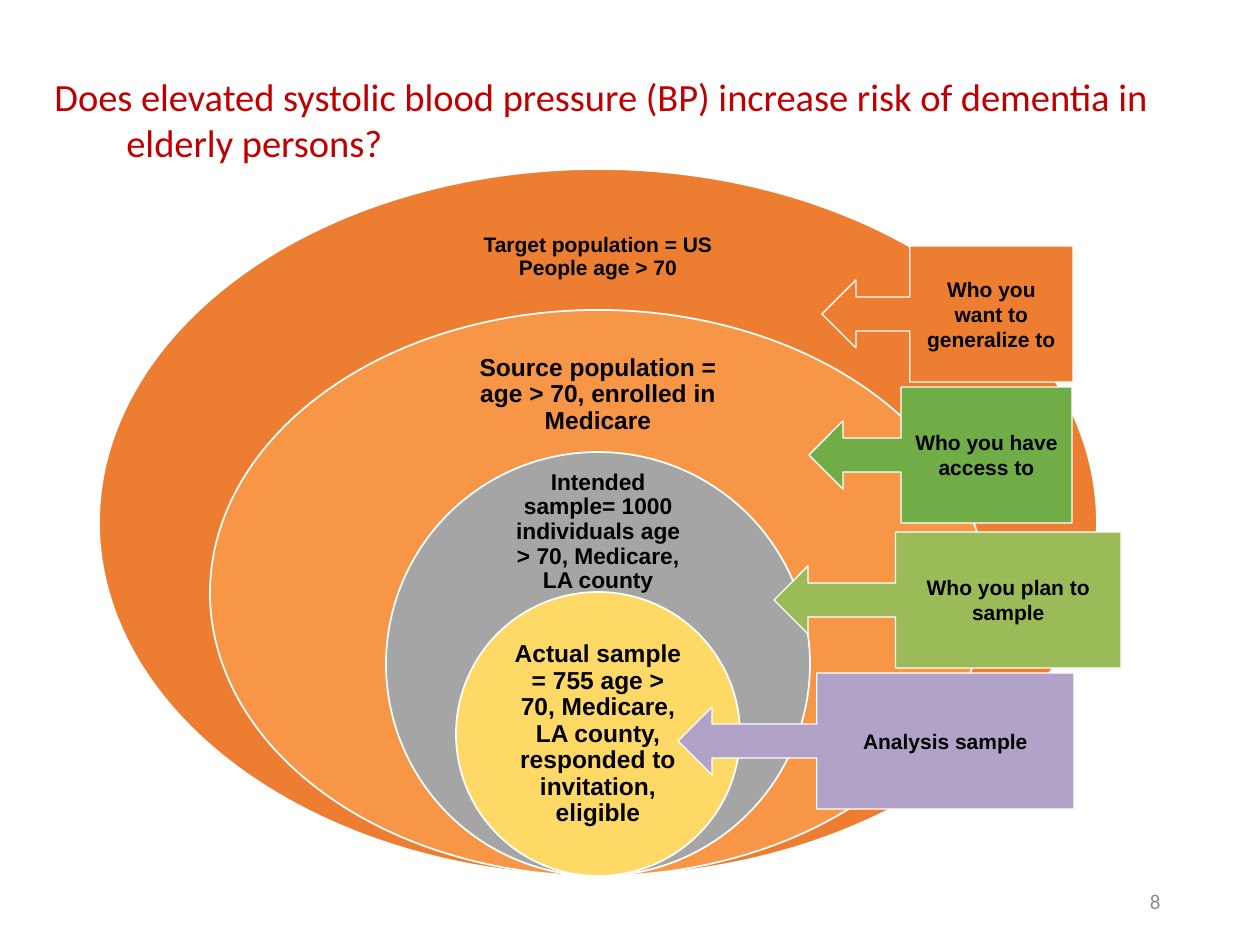
from pptx import Presentation
from pptx.dml.color import RGBColor
from pptx.enum.shapes import MSO_SHAPE as Shape
from pptx.enum.text import MSO_ANCHOR as Anchor, PP_ALIGN as Align
from pptx.util import Pt

EMU_PER_PX = 914400 / 126
THEME = {
    "text": "000000", "title": "C00000", "number": "8C8C8C", "outline": "FFFFFF",
    "target": "ED7D31", "source": "F79646", "intended": "A5A5A5", "actual": "FFD966",
    "access": "70AD47", "plan": "9BBB59", "analysis": "B3A2C7",
    "body_font": "Arial", "heading_font": "Calibri",
    "title_size": 22, "callout_size": 12, "number_size": 12,
    "ring_line": 1, "callout_line": 0.75,
}


def px(value):
    return round(value * EMU_PER_PX)


def write(shape, text, size, color="text", font="body_font", bold=True, align=Align.CENTER):
    frame = shape.text_frame
    frame.word_wrap = True
    frame.vertical_anchor = Anchor.MIDDLE
    paragraph = frame.paragraphs[0]
    paragraph.text = text
    paragraph.alignment = align
    paragraph.font.size = Pt(size)
    paragraph.font.name = THEME[font]
    paragraph.font.bold = bold
    paragraph.font.color.rgb = RGBColor.from_string(THEME[color])
    return paragraph


presentation = Presentation()
presentation.slide_width, presentation.slide_height = px(1260), px(945)
slide = presentation.slides.add_slide(presentation.slide_layouts[6])
shapes = slide.shapes

RING_CENTER, RING_BOTTOM = 598, 876
rings = [
    ("target", 998, 707, "Target population = US People age > 70", 12, 204, 278, 106, 11),
    ("source", 776, 566, "Source population = age > 70, enrolled in Medicare", 14, 344, 272, 102, 14),
    ("intended", 424, 424, "Intended sample= 1000 individuals age > 70, Medicare, LA county", 13, 484, 198, 96, 13),
    ("actual", 284, 284, "Actual sample = 755 age > 70, Medicare, LA county, responded to invitation, eligible",
     14, 664, 200, 141, 14),
]
for fill, width, height, text, size, label_top, label_width, label_height, inset in rings:
    ring = shapes.add_shape(Shape.OVAL, px(RING_CENTER - width // 2), px(RING_BOTTOM - height),
                            px(width), px(height))
    ring.shadow.inherit = False
    ring.fill.solid()
    ring.fill.fore_color.rgb = RGBColor.from_string(THEME[fill])
    ring.line.color.rgb = RGBColor.from_string(THEME["outline"])
    ring.line.width = Pt(THEME["ring_line"])

    label = shapes.add_textbox(px(RING_CENTER - label_width // 2), px(label_top),
                               px(label_width), px(label_height))
    frame = label.text_frame
    frame.margin_left = frame.margin_right = frame.margin_top = frame.margin_bottom = px(inset)
    write(label, text, size).line_spacing = 0.9

title = shapes.add_textbox(px(42), px(28), px(1166), px(183))
title_paragraph = write(title, "Does elevated systolic blood pressure (BP) increase risk of dementia in elderly persons?",
                        THEME["title_size"], "title", "heading_font", False, Align.LEFT)
properties = title_paragraph._p.get_or_add_pPr()
properties.set("marL", str(px(72)))
properties.set("indent", str(-px(72)))

CALLOUT_HEIGHT = 136
callouts = [
    ("target", 822, 246, 251, "Who you want to generalize to"),
    ("access", 809, 387, 263, "Who you have access to"),
    ("plan", 774, 532, 347, "Who you plan to sample"),
    ("analysis", 678, 673, 396, "Analysis sample"),
]
for fill, left, top, width, text in callouts:
    callout = shapes.add_shape(Shape.LEFT_ARROW_CALLOUT, px(left), px(top), px(width), px(CALLOUT_HEIGHT))
    callout.shadow.inherit = False
    callout.fill.solid()
    callout.fill.fore_color.rgb = RGBColor.from_string(THEME[fill])
    callout.line.color.rgb = RGBColor.from_string(THEME["outline"])
    callout.line.width = Pt(THEME["callout_line"])
    write(callout, text, THEME["callout_size"])

number = shapes.add_textbox(px(890), px(876), px(283), px(50))
write(number, "8", THEME["number_size"], "number", "heading_font", False, Align.RIGHT)

presentation.save("out.pptx")
